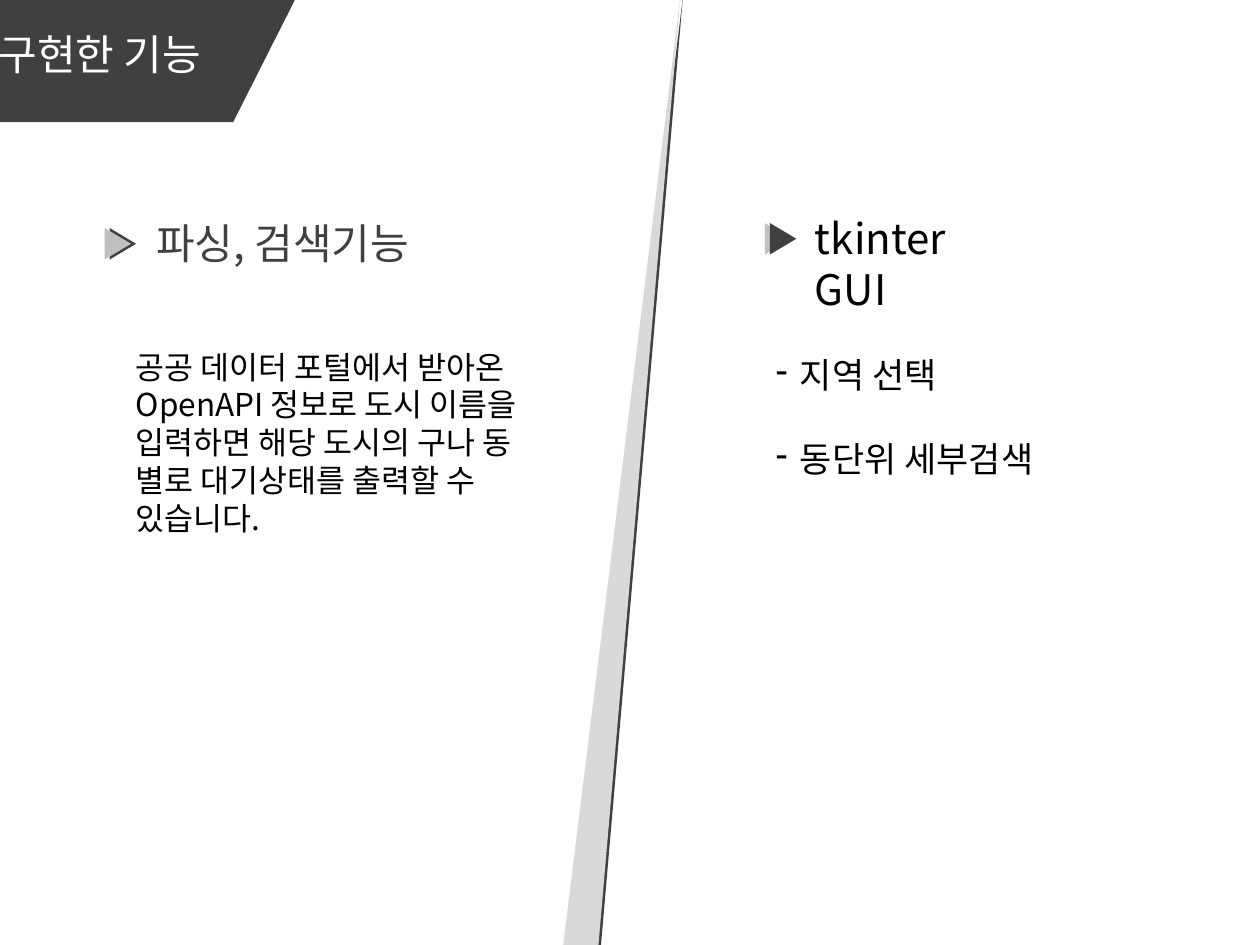
from pptx import Presentation
from pptx.dml.color import RGBColor
from pptx.enum.shapes import MSO_SHAPE
from pptx.enum.text import MSO_AUTO_SIZE
from pptx.util import Inches, Pt
from lxml.etree import SubElement
from pptx.oxml.ns import qn

FONT = "Noto Sans CJK KR"
HEX = {"dark": "404040", "mid": "BFBFBF", "pale": "D9D9D9",
       "black": "000000", "white": "FFFFFF"}

deck = Presentation()
deck.slide_width, deck.slide_height = Inches(10), Inches(7.5)
slide = deck.slides.add_slide(deck.slide_layouts[6])
shapes = slide.shapes


def paint(shape, color):
    shape.shadow.inherit = False
    shape.fill.solid()
    shape.fill.fore_color.rgb = RGBColor.from_string(HEX[color])
    shape.line.fill.background()


def write(box, lines, size, color, wrap=True):
    label = shapes.add_textbox(*map(Inches, box))
    frame = label.text_frame
    frame.word_wrap = wrap
    frame.auto_size = MSO_AUTO_SIZE.SHAPE_TO_FIT_TEXT
    frame.text = "\n".join(lines)
    for para in frame.paragraphs:
        for run in para.runs:
            run.font.size = Pt(size)
            run.font.name = FONT
            run.font.color.rgb = RGBColor.from_string(HEX[color])
            SubElement(run.font._element, qn("a:ea")).set("typeface", FONT)
    return frame


write((0.98, 2.71, 3.61, 2.09),
      ["공공 데이터 포털에서 받아온 OpenAPI 정보로 도시 이름을 입력하면 "
       "해당 도시의 구나 동 별로 대기상태를 출력할 수 있습니다."], 18, "black")
write((1.14, 1.68, 2.41, 0.5), ["파싱, 검색기능"], 24, "dark", False)

for left, top, color in [(0.85, 1.83, "dark"), (0.81, 1.83, "mid"),
                         (6.05, 1.79, "mid"), (6.09, 1.79, "dark")]:
    mark = shapes.add_shape(MSO_SHAPE.ISOSCELES_TRIANGLE, Inches(left),
                            Inches(top), Inches(0.25), Inches(0.21))
    mark.rotation = 90
    paint(mark, color)

items = write((6.06, 2.76, 3.45, 2.52), ["지역 선택", "동단위 세부검색"], 20, "black")
for para in items.paragraphs:
    props = para._p.get_or_add_pPr()
    props.set("marL", str(Inches(0.19)))
    props.set("indent", str(-Inches(0.19)))
    SubElement(props, qn("a:buChar")).set("char", "-")
items.paragraphs[1].space_before = Pt(24)

write((6.37, 1.64, 1.86, 0.5), ["tkinter GUI"], 24, "black")

for shift, color in [(0.02, "dark"), (0, "pale")]:
    pen = shapes.build_freeform(Inches(5.4 + shift), Inches(-0.02))
    pen.add_line_segments([(Inches(4.75 + shift), Inches(7.5)),
                           (Inches(4.47 + shift), Inches(7.5))], close=True)
    paint(pen.convert_to_shape(), color)

band = shapes.add_shape(MSO_SHAPE.RECTANGLE, 0, 0, Inches(1.85), Inches(0.97))
paint(band, "dark")
tip = shapes.add_shape(MSO_SHAPE.ISOSCELES_TRIANGLE, Inches(1.61), Inches(0.24),
                       Inches(0.97), Inches(0.49))
tip.adjustments[0] = 0
tip.rotation = 90
paint(tip, "dark")
write((-0.11, 0.18, 2.22, 0.5), ["구현한 기능"], 24, "white")

deck.save("out.pptx")
